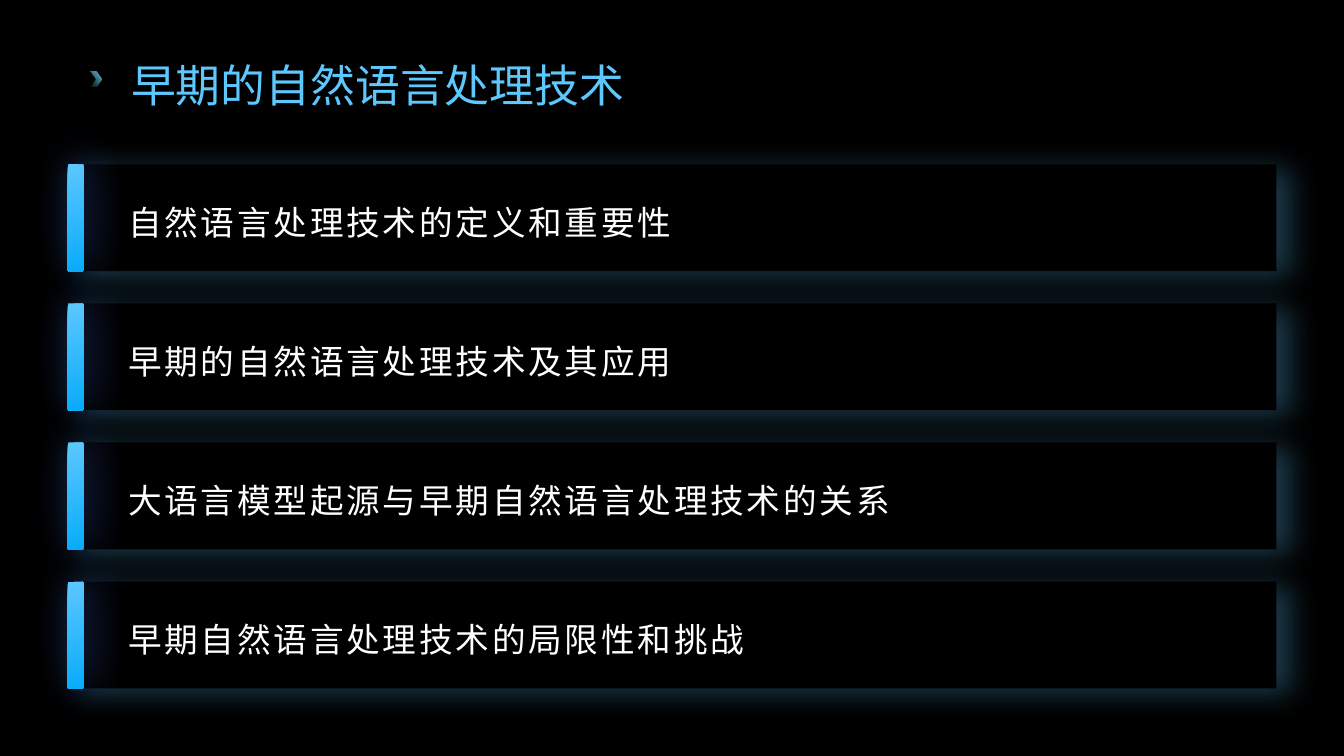
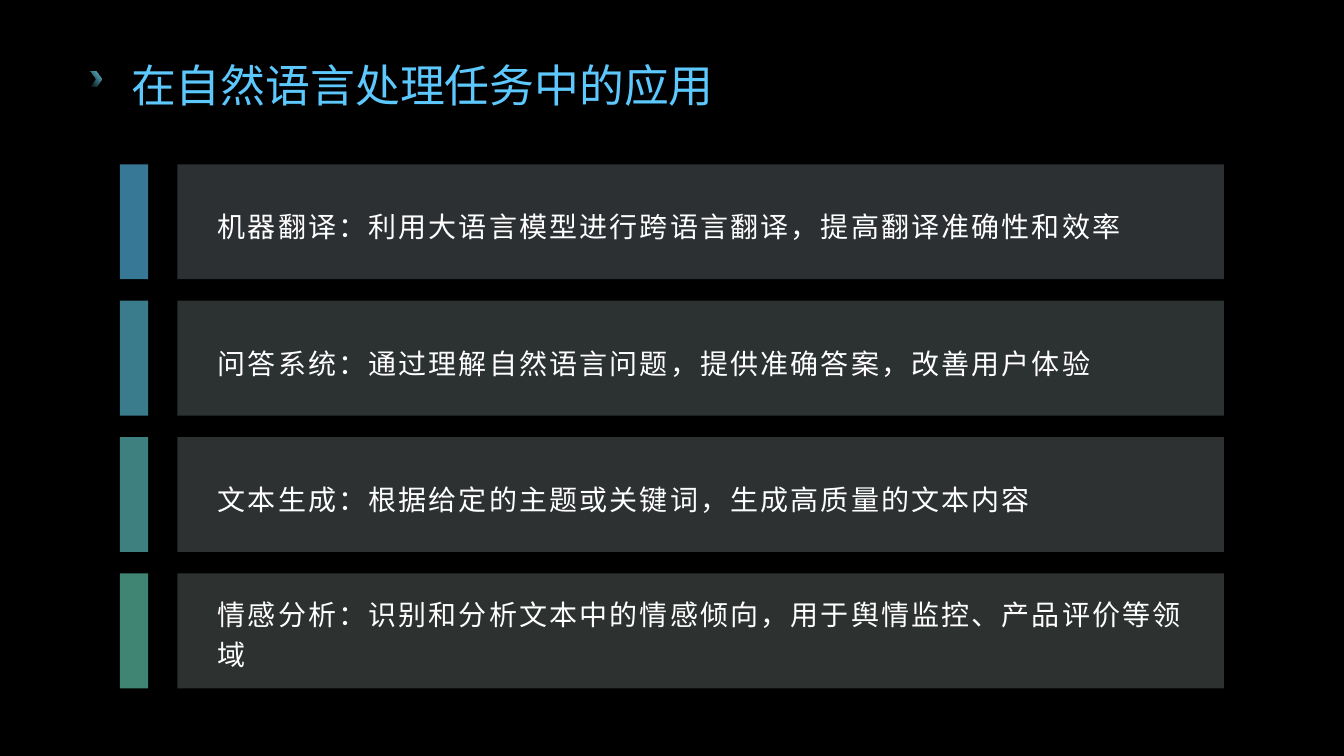
import pptx
import pptx.util
import pptx.dml.color
import pptx.enum.shapes
import pptx.enum.text
import pptx.oxml
import pptx.oxml.ns
import lxml.etree

Inches = pptx.util.Inches
Pt = pptx.util.Pt
RGBColor = pptx.dml.color.RGBColor
SHAPES = pptx.enum.shapes.MSO_SHAPE
qn = pptx.oxml.ns.qn

BLACK = RGBColor(0x00, 0x00, 0x00)
WHITE = RGBColor(0xFF, 0xFF, 0xFF)
SKY = RGBColor(0x5D, 0xC8, 0xFD)
AZURE = RGBColor(0x08, 0xAB, 0xFC)
CYAN = RGBColor(0x62, 0xCF, 0xE9)
TEAL = RGBColor(0x67, 0xD6, 0xD5)
MINT = RGBColor(0x6B, 0xDC, 0xC1)
INDIGO = RGBColor(0x45, 0x75, 0xF0)
SKY_TINT = RGBColor(0xDF, 0xF4, 0xFF)
CYAN_TINT = RGBColor(0xE0, 0xF5, 0xFB)
TEAL_TINT = RGBColor(0xE1, 0xF7, 0xF7)
MINT_TINT = RGBColor(0xE1, 0xF8, 0xF3)
FONT = "Karla"


def add_block(slide, left, top, width, height, colors, opacity=100, angle=0,
              shadow=None, preset=SHAPES.RECTANGLE):
    """Add a borderless shape; two colours make a gradient, opacity is for the first."""
    shape = slide.shapes.add_shape(
        preset, Inches(left), Inches(top), Inches(width), Inches(height))
    shape.line.fill.background()
    shape.shadow.inherit = False
    if len(colors) == 1:
        shape.fill.solid()
        shape.fill.fore_color.rgb = colors[0]
    else:
        shape.fill.gradient()
        shape.fill.gradient_angle = angle
        for stop, color in zip(shape.fill.gradient_stops, colors):
            stop.color.rgb = color
    if opacity < 100:
        color_element = next(shape.element.spPr.iter(qn("a:srgbClr")))
        lxml.etree.SubElement(color_element, qn("a:alpha"), val=str(opacity * 1000))
    if shadow:
        color, alpha, blur, distance, direction = shadow
        effects = shape.element.spPr.find(qn("a:effectLst"))
        outer = lxml.etree.SubElement(
            effects, qn("a:outerShdw"), blurRad=str(Pt(blur)), dist=str(Pt(distance)),
            dir=str(direction * 60000), algn="ctr", rotWithShape="0")
        shadow_color = lxml.etree.SubElement(outer, qn("a:srgbClr"), val=str(color))
        lxml.etree.SubElement(shadow_color, qn("a:alpha"), val=str(alpha * 1000))
    return shape


def write_text(shape, text, size, color, line_spacing, letter_spacing=0,
               left_inset=0.1, right_inset=0.1):
    frame = shape.text_frame
    frame.text = text
    frame.word_wrap = True
    frame.vertical_anchor = pptx.enum.text.MSO_ANCHOR.MIDDLE
    frame.margin_left = Inches(left_inset)
    frame.margin_right = Inches(right_inset)
    frame.margin_top = frame.margin_bottom = 0
    paragraph = frame.paragraphs[0]
    paragraph.alignment = pptx.enum.text.PP_ALIGN.LEFT
    paragraph.line_spacing = line_spacing
    run = paragraph.runs[0]
    run.font.size = Pt(size)
    run.font.name = FONT
    run.font.color.rgb = color
    properties = run.font._element
    properties.set("spc", str(int(letter_spacing * 100)))
    lxml.etree.SubElement(properties, qn("a:ea"), typeface=FONT)


presentation = pptx.Presentation()
presentation.slide_width = Inches(13.33)
presentation.slide_height = Inches(7.5)

# Shared background and title position
background = presentation.slide_master.background.fill
background.solid()
background.fore_color.rgb = BLACK
layout = presentation.slide_layouts.get_by_name("Title Only")
layout_title = layout.placeholders[0]
layout_title.left, layout_title.top = Inches(1.2), Inches(0.45)
layout_title.width, layout_title.height = Inches(11.46), Inches(0.67)

# Slides with their titles
slides = []
for title in ("早期的自然语言处理技术", "在自然语言处理任务中的应用"):
    slide = presentation.slides.add_slide(layout)
    write_text(slide.shapes.title, title, 32, SKY, 1.2)
    slides.append(slide)
overview_slide, tasks_slide = slides

# Title chevron, moved to the layout so that both slides share it
chevron = add_block(overview_slide, 0.9, 0.71, 0.11, 0.15, (CYAN, CYAN),
                    opacity=0, angle=45, preset=SHAPES.CHEVRON)
layout.shapes.element.append(chevron.element)

# Overview: glowing panels with a gradient bar
FIRST_TOP = 1.63
topics = (
    "自然语言处理技术的定义和重要性",
    "早期的自然语言处理技术及其应用",
    "大语言模型起源与早期自然语言处理技术的关系",
    "早期自然语言处理技术的局限性和挑战",
)
for index, topic in enumerate(topics):
    top = FIRST_TOP + index * 1.38
    panel = add_block(overview_slide, 0.67, top, 11.99, 1.06, (BLACK,),
                      shadow=(SKY, 30, 22, 9, 17))
    write_text(panel, topic, 24, WHITE, 1.2, letter_spacing=2, left_inset=0.6)
    bar = add_block(overview_slide, 0.67, top, 0.16, 1.06, (SKY, AZURE), angle=290,
                    shadow=(INDIGO, 45, 30, 5, 315), preset=SHAPES.ROUNDED_RECTANGLE)
    bar.adjustments[0] = 0.08

# Tasks: translucent panels with a coloured bar
tasks = (
    ("机器翻译：利用大语言模型进行跨语言翻译，提高翻译准确性和效率", SKY, SKY_TINT, 1.3),
    ("问答系统：通过理解自然语言问题，提供准确答案，改善用户体验", CYAN, CYAN_TINT, 1.3),
    ("文本生成：根据给定的主题或关键词，生成高质量的文本内容", TEAL, TEAL_TINT, 1.3),
    ("情感分析：识别和分析文本中的情感倾向，用于舆情监控、产品评价等领域",
     MINT, MINT_TINT, 1.2),
)
for index, (task, color, tint, line_spacing) in enumerate(tasks):
    top = FIRST_TOP + index * 1.353
    panel = add_block(tasks_slide, 1.76, top, 10.38, 1.14, (tint,), opacity=20)
    write_text(panel, task, 20, WHITE, line_spacing, letter_spacing=1.5,
               left_inset=0.4, right_inset=0.25)
    add_block(tasks_slide, 1.19, top, 0.28, 1.14, (color,), opacity=60)

presentation.save("out.pptx")
